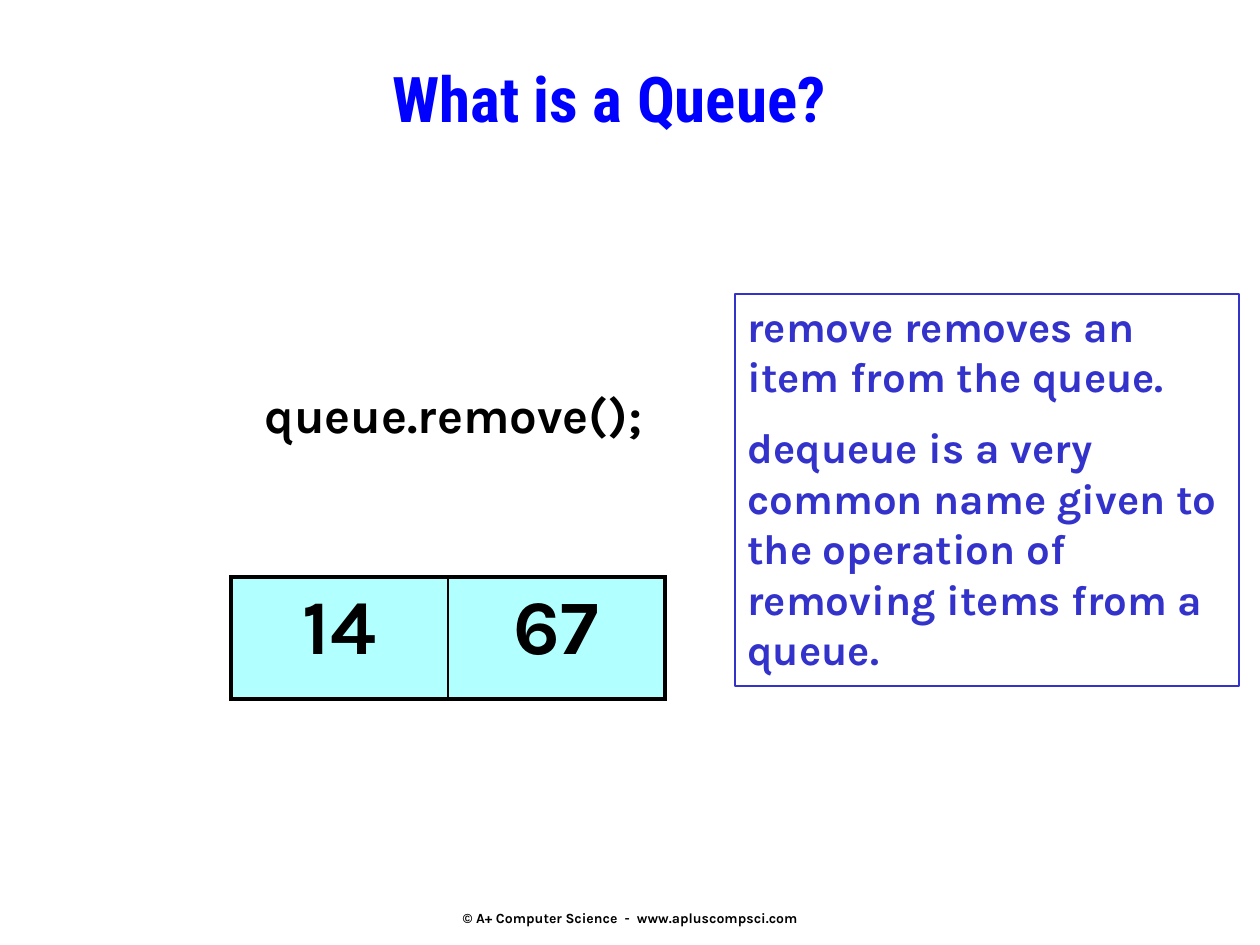
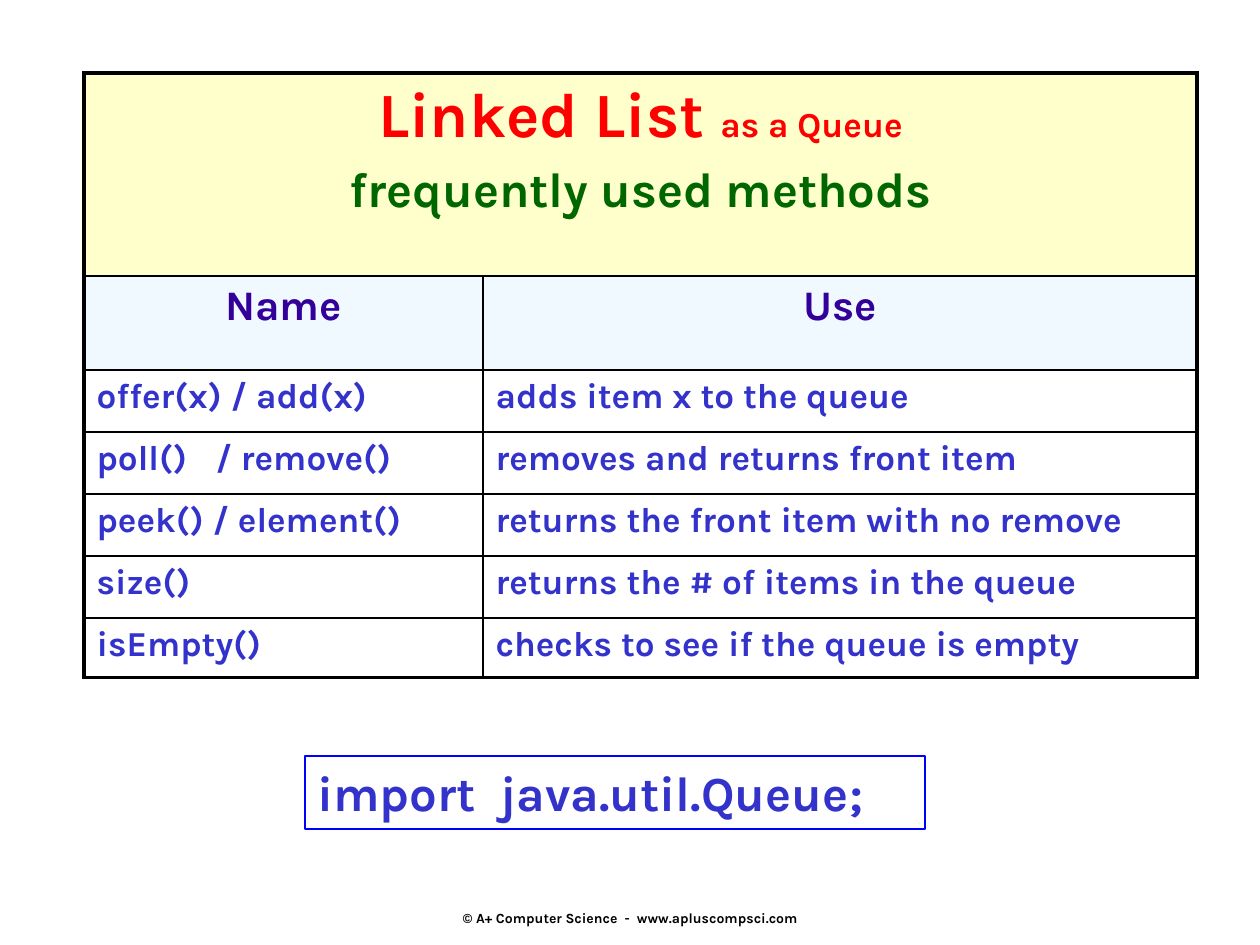
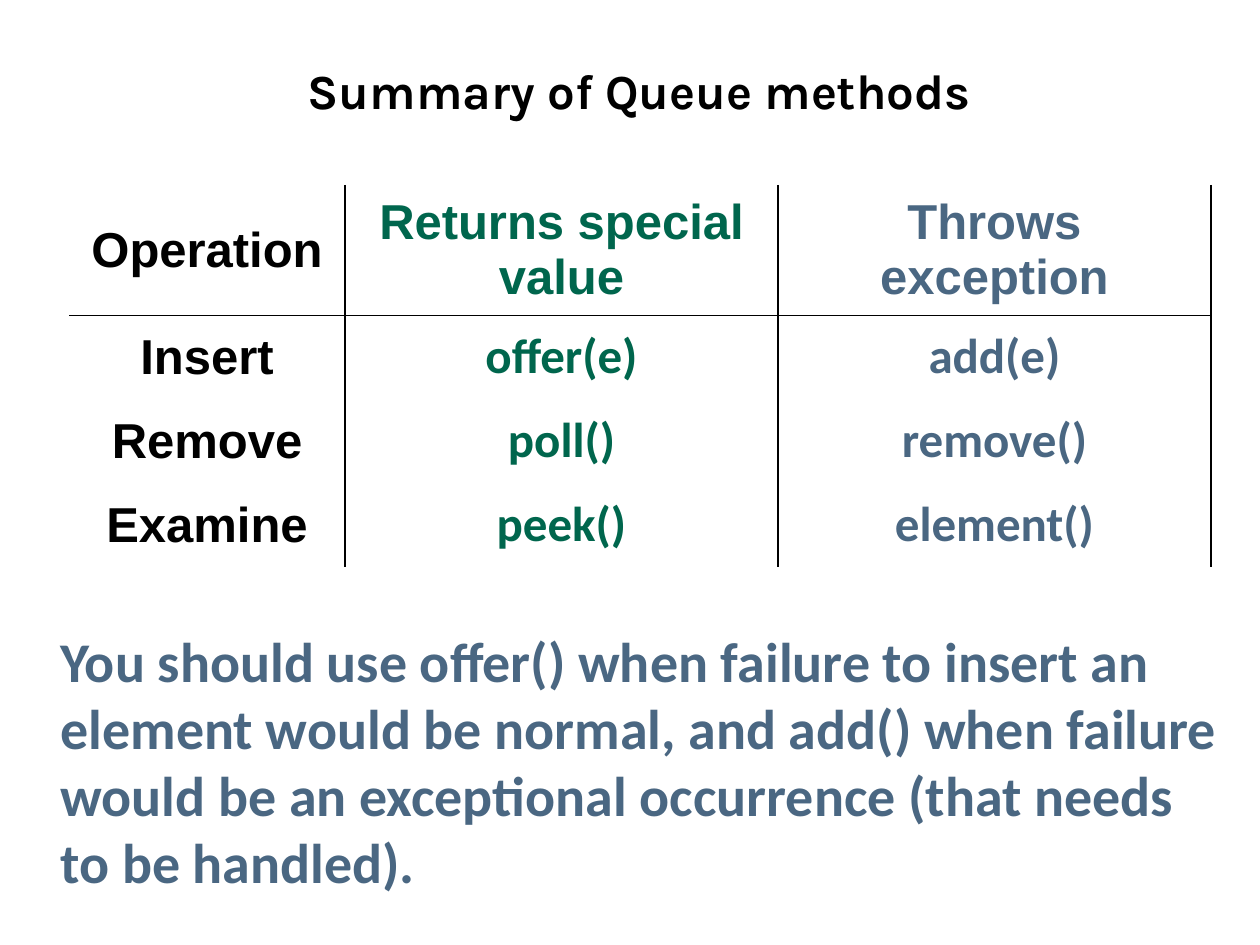
from dataclasses import dataclass

from lxml import etree
from pptx import Presentation
from pptx import util as u
from pptx.dml.color import RGBColor
from pptx.enum import text
from pptx.oxml.ns import qn

SCALE = 914400 / 126
MID = text.PP_ALIGN.CENTER


@dataclass(frozen=True)
class Theme:
    karla: str = "Karla"
    slim: str = "Roboto Condensed"
    arial: str = "Arial"
    plain: str = "Calibri"
    black: str = "000000"
    blue: str = "0000FF"
    ink: str = "3333CC"
    red: str = "FF0000"
    leaf: str = "006600"
    plum: str = "330099"
    green: str = "00664D"
    slate: str = "4A6782"
    cream: str = "FFFFCC"
    aqua: str = "66FFFF"
    ice: str = "E1F4FF"
    giant: int = 44
    title: int = 36
    large: int = 32
    head: int = 28
    body: int = 24
    small: int = 20
    foot: int = 8
    thick: float = 2.25
    thin: float = 1


T = Theme()


def write(par, words, face, size, hue, align=None, gap=0, tab=0):
    """Fill a paragraph with bold text; gap is in points, tab in px."""
    par.text = words
    par.alignment = align
    if gap:
        par.space_before = u.Pt(gap)
    if tab:
        stops = etree.SubElement(par._p.get_or_add_pPr(), qn("a:tabLst"))
        etree.SubElement(stops, qn("a:tab"), pos=str(round(tab * SCALE)), algn="l")
    font = par.font
    font.name, font.size, font.bold = face, u.Pt(size), True
    font.color.rgb = RGBColor.from_string(hue)


def grid(slide, left, top, cols, rows, down, across, fills, span=False):
    """Add a table; down and across are the widths of its rules in points,
    fills holds (colour, alpha) or None for each row, span joins the top row."""
    box = [round(n * SCALE) for n in (left, top, sum(cols), sum(rows))]
    table = slide.shapes.add_table(len(rows), len(cols), *box).table
    table.first_row = table.horz_banding = False
    for col, wide in zip(table.columns, cols):
        col.width = round(wide * SCALE)
    for row, high in zip(table.rows, rows):
        row.height = round(high * SCALE)
    if span:
        table.cell(0, 0).merge(table.cell(0, len(cols) - 1))
    for r in range(len(rows)):
        for c in range(len(cols)):
            cell = table.cell(r, c)
            if cell.is_spanned:
                continue
            end = c + (cell.span_width if cell.is_merge_origin else 1)
            props = cell._tc.get_or_add_tcPr()
            sides = zip("LRTB", (down[c], down[end], across[r], across[r + 1]))
            for side, wide in sides:
                line = etree.SubElement(props, qn("a:ln" + side), w=str(u.Pt(wide)))
                if wide:
                    paint = etree.SubElement(line, qn("a:solidFill"))
                    etree.SubElement(paint, qn("a:srgbClr"), val=T.black)
                else:
                    etree.SubElement(line, qn("a:noFill"))
            if not fills[r]:
                cell.fill.background()
                continue
            hue, alpha = fills[r]
            cell.fill.solid()
            cell.fill.fore_color.rgb = RGBColor.from_string(hue)
            if alpha < 100:
                tint = props.find(qn("a:solidFill")).find(qn("a:srgbClr"))
                etree.SubElement(tint, qn("a:alpha"), val=str(alpha * 1000))
    return table


deck = Presentation()
deck.slide_width, deck.slide_height = u.Inches(10), u.Inches(7.5)
intro, usage, recap = [deck.slides.add_slide(deck.slide_layouts[n]) for n in (5, 6, 5)]

# Titles
titles = [
    (intro, "What is a Queue?", (147, 53, 924, 136), T.slim, T.title, T.blue,
     text.MSO_ANCHOR.TOP),
    (recap, "Summary of Queue methods", (273, 53, 732, 73), T.karla, T.head, T.black,
     text.MSO_ANCHOR.MIDDLE),
]
for slide, words, box, face, size, hue, anchor in titles:
    title = slide.shapes.title
    title.left, title.top, title.width, title.height = [round(n * SCALE) for n in box]
    frame = title.text_frame
    frame.auto_size = text.MSO_AUTO_SIZE.NONE
    frame.vertical_anchor = anchor
    write(frame.paragraphs[0], words, face, size, hue, MID)

# Text boxes: slide, place, lines, face, size, colour, outline, tab
boxes = [
    (intro, (252, 378, 440, 72), ["queue.remove();"],
     T.karla, T.head, T.black, None, 0),
    (intro, (735, 294, 504, 392),
     ["remove removes an item from the queue.",
      "dequeue is a very common name given to the operation of removing items "
      "from a queue."],
     T.karla, T.body, T.ink, (T.ink, 0.75), 0),
    (usage, (305, 756, 620, 73), ["import\tjava.util.Queue;"],
     T.karla, T.head, T.ink, (T.blue, 1), 183),
    (recap, (48, 620, 1187, 285),
     ["You should use offer() when failure to insert an element would be normal, "
      "and add() when failure would be an exceptional occurrence (that needs to "
      "be handled)."],
     T.plain, T.large, T.slate, None, 0),
]
for slide, box, lines, face, size, hue, rim, tab in boxes:
    shape = slide.shapes.add_textbox(*[round(n * SCALE) for n in box])
    frame = shape.text_frame
    frame.word_wrap = True
    if rim:
        shape.line.color.rgb = RGBColor.from_string(rim[0])
        shape.line.width = u.Pt(rim[1])
    for i, words in enumerate(lines):
        par = frame.add_paragraph() if i else frame.paragraphs[0]
        write(par, words, face, size, hue, gap=size / 2 if i else 0, tab=tab)

# Footers
for slide in (intro, usage):
    box = [round(n * SCALE) for n in (431, 861, 399, 65)]
    frame = slide.shapes.add_textbox(*box).text_frame
    frame.word_wrap = True
    frame.margin_bottom = 0
    frame.vertical_anchor = text.MSO_ANCHOR.BOTTOM
    write(frame.paragraphs[0], "© A+ Computer Science  -  www.apluscompsci.com",
          T.karla, T.foot, T.black, MID)

# Queue contents
queue = grid(intro, 231, 577, [217] * 2, [122], (T.thick, T.thin, T.thick),
             [T.thick] * 2, [(T.aqua, 50)])
for c, item in enumerate(("14", "67")):
    par = queue.cell(0, c).text_frame.paragraphs[0]
    write(par, item, T.karla, T.giant, T.black, MID)

# Frequently used methods
calls = [
    ("Name", "Use"),
    ("offer(x) / add(x)", "adds item x to the queue"),
    ("poll()\t/ remove()", "removes and returns front item"),
    ("peek() / element()", "returns the front item with no remove"),
    ("size()", "returns the # of items in the queue"),
    ("isEmpty()", "checks to see if the queue is empty"),
]
methods = grid(usage, 84, 73, [399, 714], [203, 94] + [62] * 4 + [60],
               (T.thick, T.thin, T.thick), [T.thick] + [T.thin] * 6 + [T.thick],
               [(T.cream, 100), (T.ice, 50)] + [None] * 5, span=True)
frame = methods.cell(0, 0).text_frame
par = frame.paragraphs[0]
write(par, "Linked List ", T.karla, T.title, T.red, MID)
run = par.add_run()
run.text = "as a Queue"
run.font.size = u.Pt(T.small)
write(frame.add_paragraph(), "frequently used methods", T.karla, T.head, T.leaf, MID,
      gap=5.6)
for r, row in enumerate(calls, 1):
    size, hue, align = (T.body, T.plum, MID) if r == 1 else (T.small, T.ink, None)
    for c, words in enumerate(row):
        par = methods.cell(r, c).text_frame.paragraphs[0]
        write(par, words, T.karla, size, hue, align, tab=119 if "\t" in words else 0)

# Summary of operations
pairs = [
    ("Operation", "Returns special value", "Throws exception"),
    ("Insert", "offer(e)", "add(e)"),
    ("Remove", "poll()", "remove()"),
    ("Examine", "peek()", "element()"),
]
summary = grid(recap, 69, 185, [276, 433, 433], [130] + [84] * 3,
               (0, T.thin, T.thin, T.thin), (0, T.thin, 0, 0, 0), [None] * 4)
for r, row in enumerate(pairs):
    for c, (words, hue) in enumerate(zip(row, (T.black, T.green, T.slate))):
        cell = summary.cell(r, c)
        cell.vertical_anchor = text.MSO_ANCHOR.MIDDLE
        face = T.plain if r and c else T.arial
        write(cell.text_frame.paragraphs[0], words, face, T.head, hue, MID)

deck.save("out.pptx")
